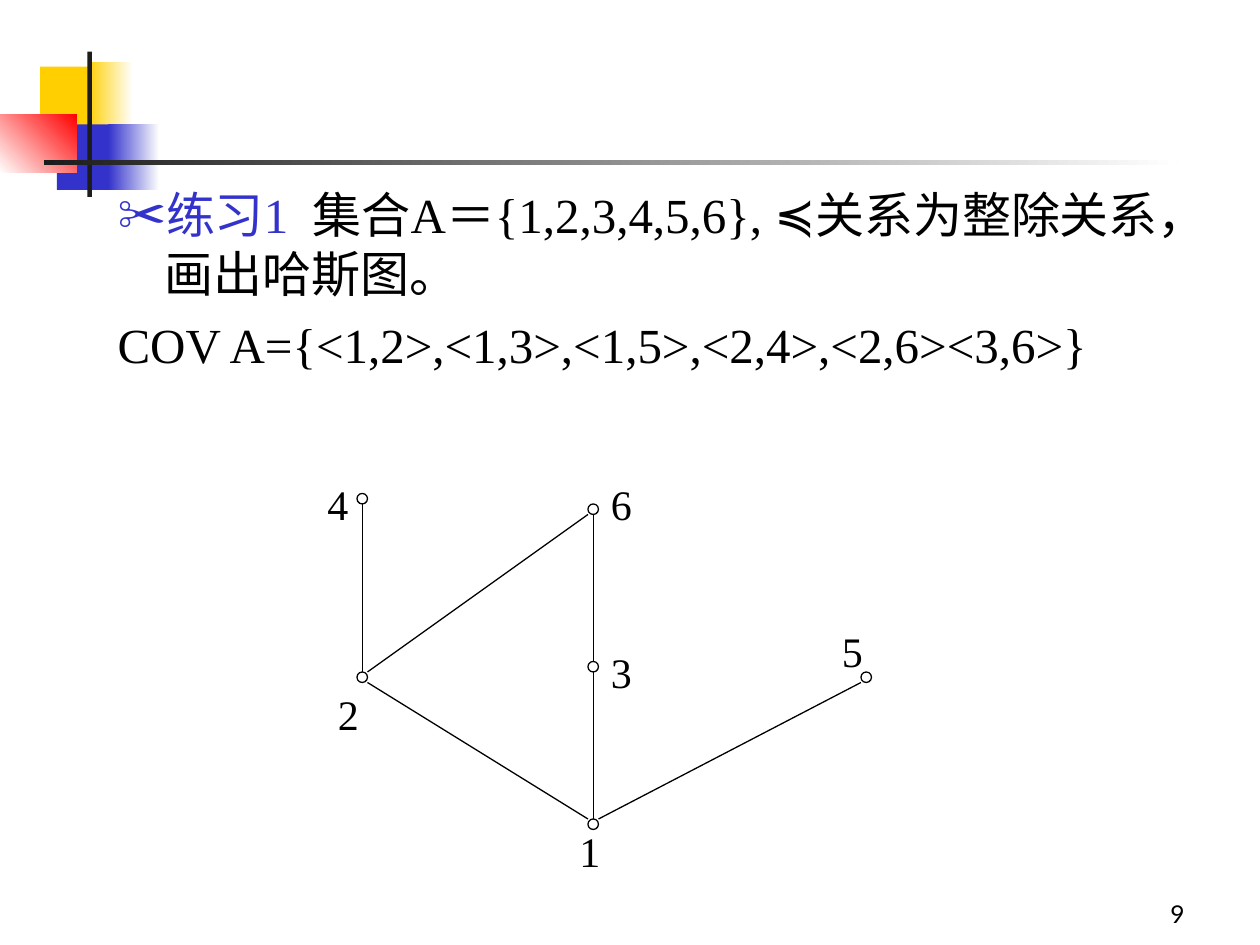
from collections import namedtuple
from lxml.etree import SubElement
from pptx import Presentation
from pptx.dml.color import RGBColor
from pptx.enum.shapes import MSO_CONNECTOR as Connector, MSO_SHAPE as Shape
from pptx.enum.text import MSO_ANCHOR as Anchor, MSO_AUTO_SIZE as AutoSize, PP_ALIGN as Align
from pptx.oxml.ns import qn
from pptx.util import Pt

BLACK = RGBColor(0x00, 0x00, 0x00)
WHITE = RGBColor(0xFF, 0xFF, 0xFF)
CHARCOAL = RGBColor(0x1C, 0x1C, 0x1C)
YELLOW = RGBColor(0xFF, 0xCF, 0x01)
BLUE = RGBColor(0x33, 0x33, 0xCC)
RED = RGBColor(0xFF, 0x00, 0x00)
SERIF, SANS = "Times New Roman", "Lato"
NODE_RADIUS = 3
LABEL_HEIGHT = 36

Box = namedtuple("Box", "left top width height")
Node = namedtuple("Node", "x y label_x label_y label_width")

NODES = {
    "1": Node(159, 201, 144, 198, 36),
    "2": Node(27, 117, 6, 120, 36),
    "3": Node(159, 111, 162, 96, 30),
    "4": Node(27, 15, 0, 0, 24),
    "5": Node(315, 117, 294, 84, 42),
    "6": Node(159, 21, 162, 0, 36),
}
COVERS = ["12", "13", "15", "24", "26", "36"]


def points(*lengths):
    """Convert numbers to point lengths."""
    return [Pt(length) for length in lengths]


def add_span(para, text, size=28, font=SERIF, color=BLACK):
    """Append formatted text to a paragraph."""
    span = para.add_run()
    span.text = text
    span.font.size = Pt(size)
    span.font.name = font
    span.font.color.rgb = color


def add_label(page, box, text, align=Align.LEFT, anchor=Anchor.TOP, **style):
    """Place a one-line text box."""
    label = page.shapes.add_textbox(*points(*box))
    frame = label.text_frame
    frame.word_wrap = True
    frame.vertical_anchor = anchor
    frame.paragraphs[0].alignment = align
    add_span(frame.paragraphs[0], text, **style)


def add_block(page, box, color, end=None, angle=0):
    """Place a borderless rectangle, solid or fading to an end colour."""
    block = page.shapes.add_shape(Shape.RECTANGLE, *points(*box))
    block.shadow.inherit = False
    block.line.fill.background()
    if end is None:
        block.fill.solid()
        block.fill.fore_color.rgb = color
        return
    block.fill.gradient()
    block.fill.gradient_angle = angle
    for stop, stop_color in zip(block.fill.gradient_stops, (color, end)):
        stop.color.rgb = stop_color


def add_ornament(page, box):
    """Draw the coloured blocks and the two rules of the heading."""
    blocks = [
        (23, 8.5, 34.5, 37.5, YELLOW),
        (50, 6, 26, 37.5, YELLOW, WHITE),
        (32.5, 41.5, 33, 37.5, BLUE),
        (62, 41.5, 29, 37.5, BLUE, WHITE),
        (0, 35.75, 44, 33.5, WHITE, RED, 45),
        (50, 0, 2.5, 83, CHARCOAL),
        (25, 62, 648, 3, CHARCOAL, WHITE),
    ]
    for left, top, width, height, *paint in blocks:
        add_block(page, Box(box.left + left, box.top + top, width, height), *paint)


def format_item(para, bullet=None):
    """Give a paragraph its hanging indent and optional bullet."""
    props = para._p.get_or_add_pPr()
    props.set("marL", str(Pt(27)))
    props.set("indent", str(Pt(-27)))
    if bullet:
        color = SubElement(props, qn("a:buClr"))
        SubElement(color, qn("a:srgbClr"), val=str(BLUE))
        SubElement(props, qn("a:buChar"), char=bullet)
    else:
        SubElement(props, qn("a:buNone"))


def add_exercise(page, box):
    """Fill the body placeholder with the exercise and its cover relation."""
    body = page.placeholders[1]
    body.left, body.top, body.width, body.height = points(*box)
    frame = body.text_frame
    frame.auto_size = AutoSize.NONE
    frame.vertical_anchor = Anchor.TOP
    task = frame.paragraphs[0]
    format_item(task, "✂")
    task.space_before = Pt(0)
    add_span(task, "练习1  ", color=BLUE)
    add_span(task, "集合A＝{1,2,3,4,5,6}, ")
    add_span(task, "≼", font=SANS)
    add_span(task, "关系为整除关系，画出哈斯图。")
    cover = frame.add_paragraph()
    format_item(cover)
    cover.space_before = Pt(7)
    add_span(cover, "COV A={<1,2>,<1,3>,<1,5>,<2,4>,<2,6><3,6>}")


def sign(number):
    """Return -1, 0 or 1."""
    return (number > 0) - (number < 0)


def add_edge(page, box, lower, upper):
    """Join two nodes at the facing edges of their bounds."""
    shift_x = NODE_RADIUS * sign(upper.x - lower.x)
    shift_y = NODE_RADIUS * sign(upper.y - lower.y)
    edge = page.shapes.add_connector(Connector.STRAIGHT, *points(
        box.left + lower.x + shift_x, box.top + lower.y + shift_y,
        box.left + upper.x - shift_x, box.top + upper.y - shift_y))
    edge.line.color.rgb = BLACK
    edge.line.width = Pt(0.75)
    SubElement(edge._element.spPr, qn("a:effectLst"))


def add_hasse_diagram(page, box):
    """Draw the labelled nodes and the covering edges."""
    for name, node in NODES.items():
        add_label(page, Box(box.left + node.label_x, box.top + node.label_y,
                            node.label_width, LABEL_HEIGHT), name, size=24)
        circle = page.shapes.add_shape(Shape.OVAL, *points(
            box.left + node.x - NODE_RADIUS, box.top + node.y - NODE_RADIUS,
            2 * NODE_RADIUS, 2 * NODE_RADIUS))
        circle.shadow.inherit = False
        circle.fill.background()
        circle.line.color.rgb = BLACK
        circle.line.width = Pt(0.75)
    for lower, upper in COVERS:
        add_edge(page, box, NODES[lower], NODES[upper])


def main():
    """Build the slide and save the deck."""
    deck = Presentation()
    deck.slide_width, deck.slide_height = points(720, 540)
    page = deck.slides.add_slide(deck.slide_layouts[1])
    title = page.shapes.title._element
    title.getparent().remove(title)
    add_ornament(page, Box(0, 29.5, 673, 83))
    add_label(page, Box(534, 498, 150, 36), "9", align=Align.RIGHT,
              anchor=Anchor.BOTTOM, size=14, font=SANS)
    add_exercise(page, Box(60, 102, 648, 384))
    add_hasse_diagram(page, Box(180, 270, 336, 234))
    deck.save("out.pptx")


if __name__ == "__main__":
    main()
